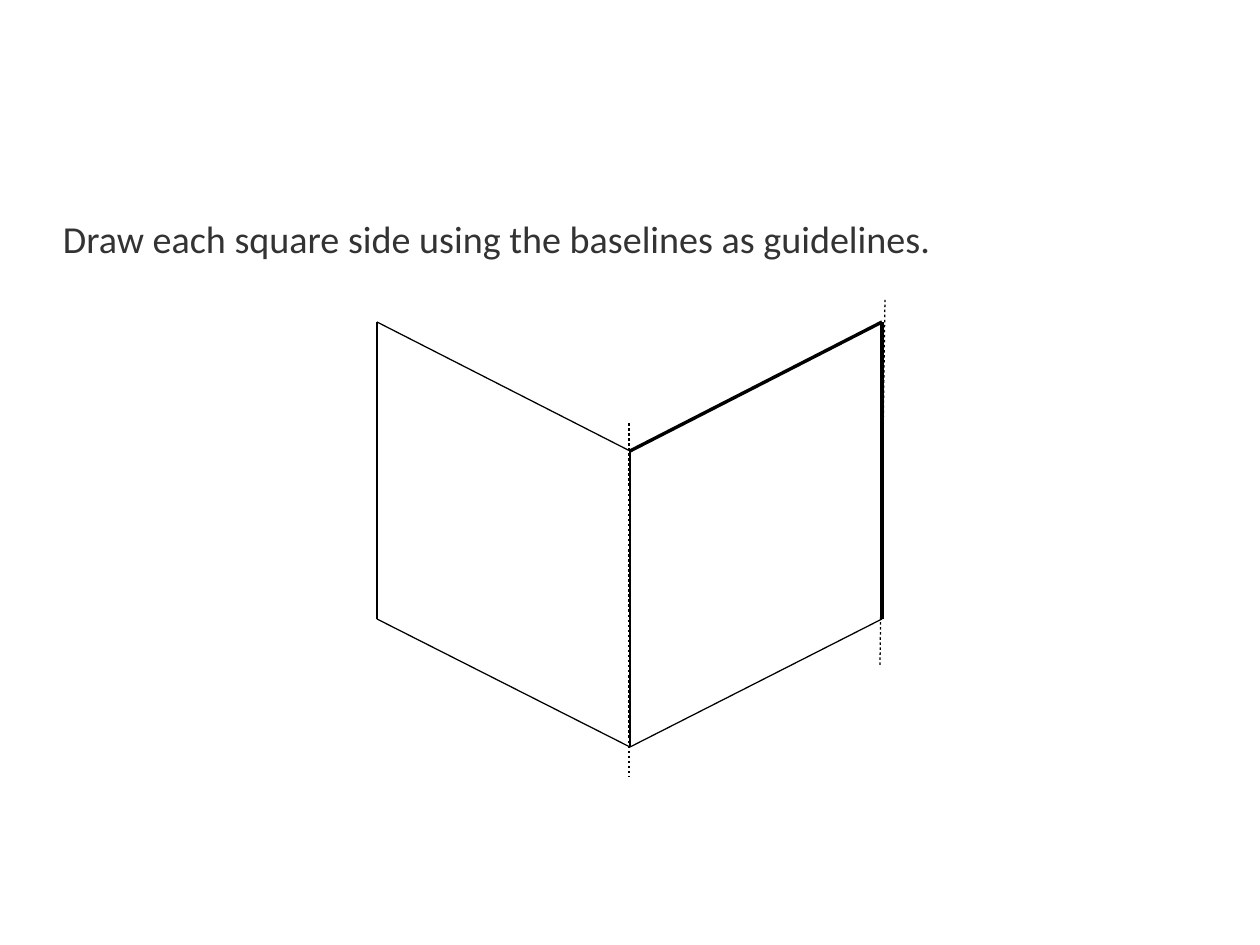
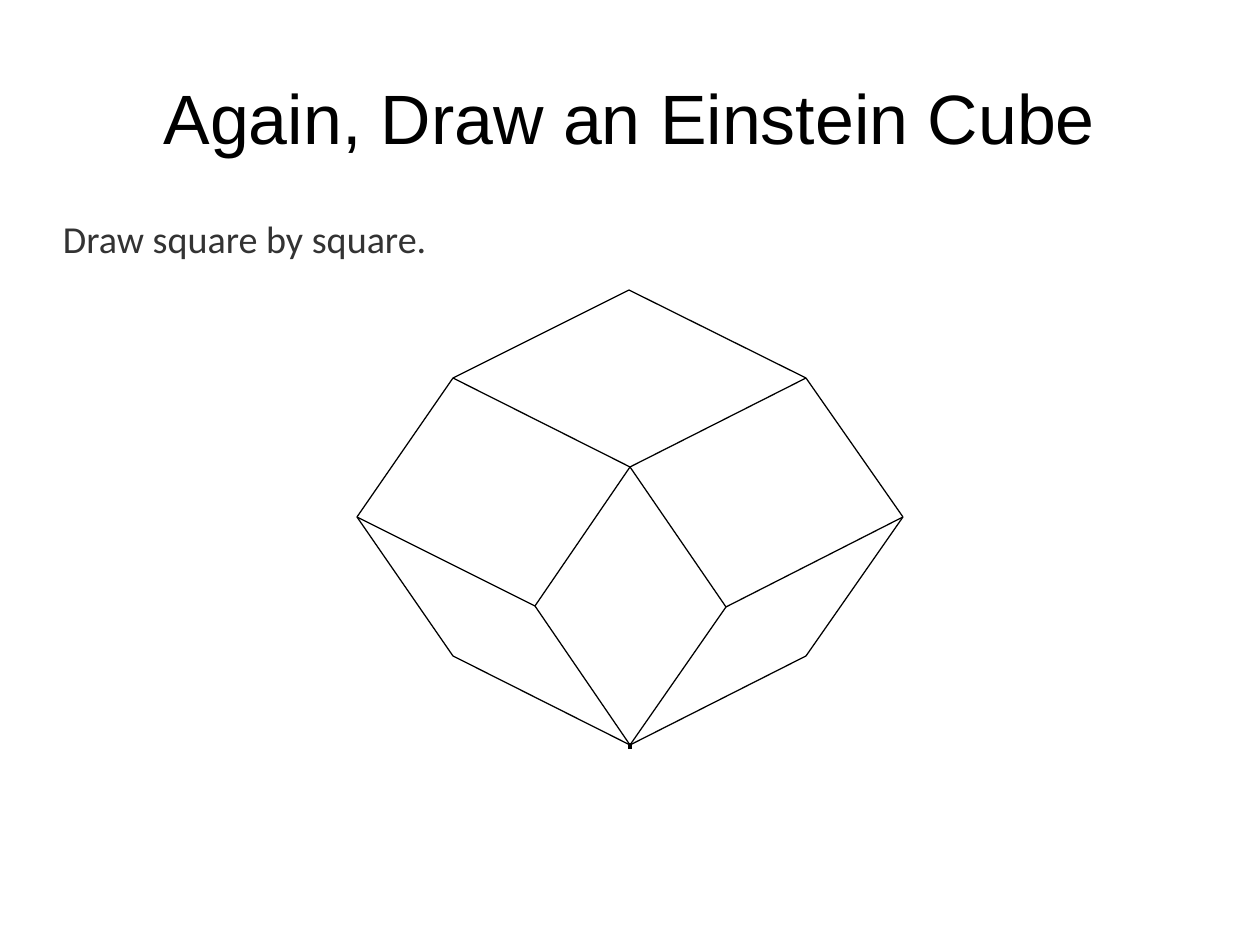
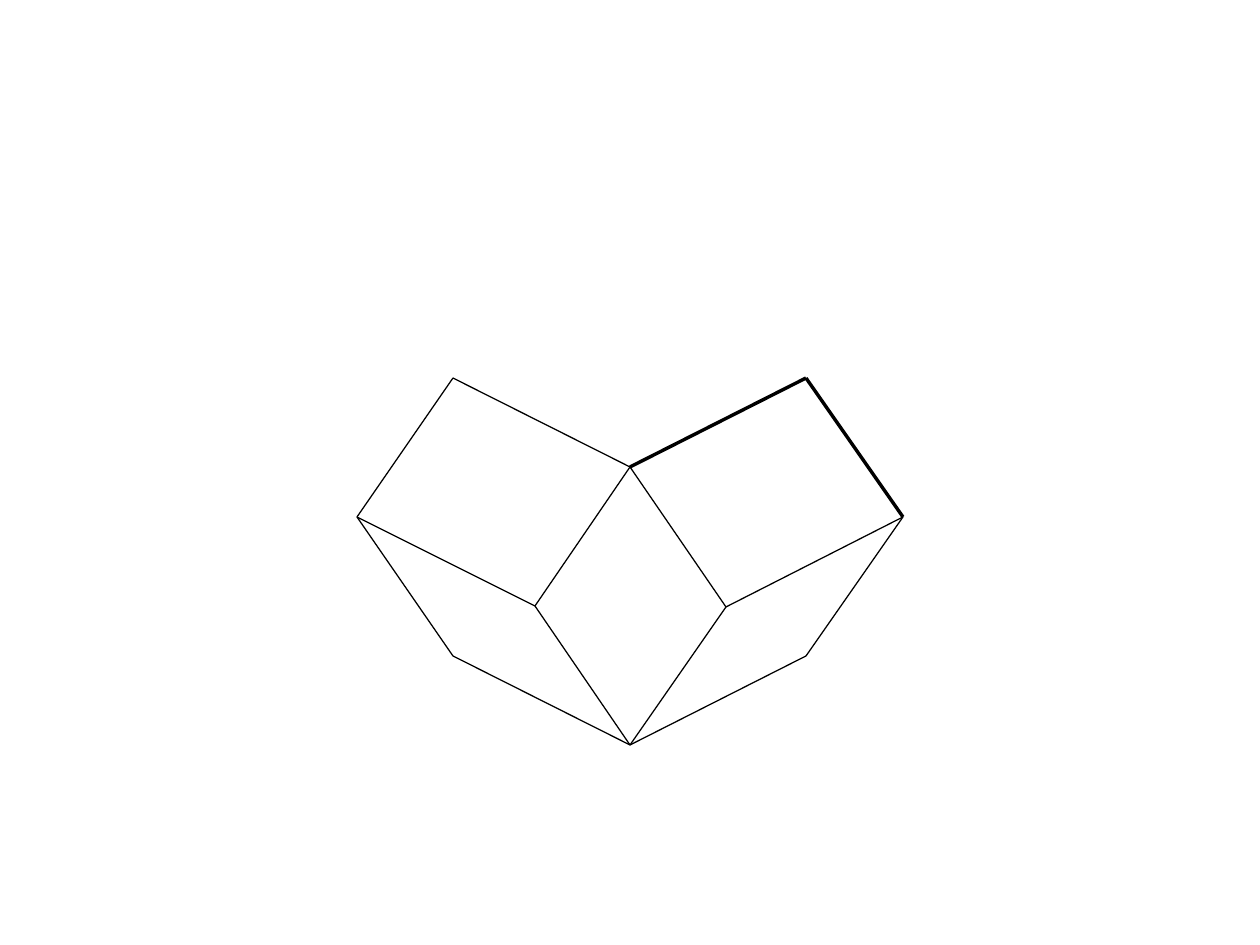
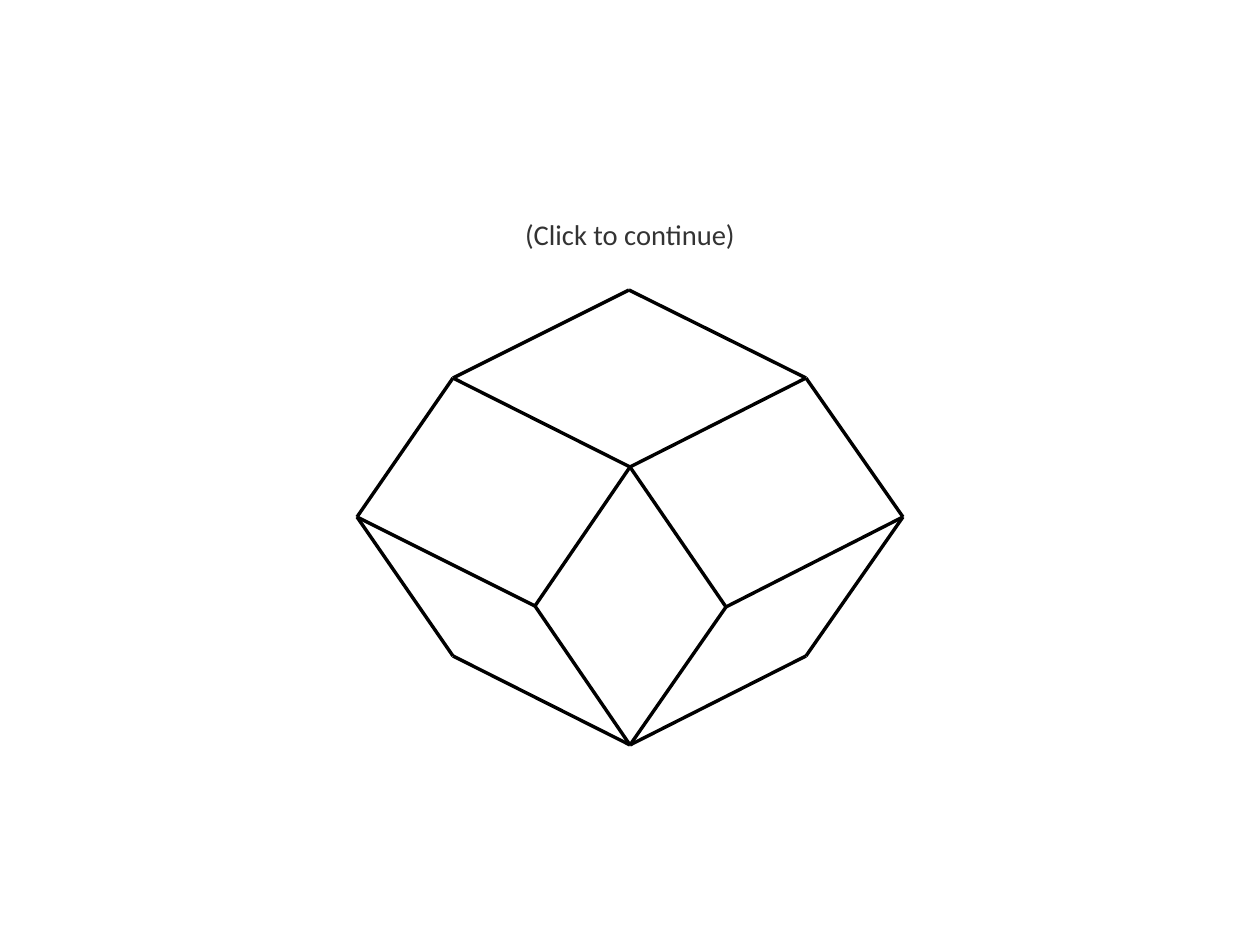
import dataclasses

import lxml.etree
import pptx
import pptx.dml.color
import pptx.enum.shapes
import pptx.enum.text
import pptx.oxml.ns
import pptx.util

PX = 8000  # EMU in one px; the slide is 28 by 21 cm


@dataclasses.dataclass(frozen=True)
class Theme:
    ink: str = "000000"
    body_color: str = "333333"
    title_font: str = "Arial"
    body_font: str = "Calibri"
    title_size: int = 44
    body_size: int = 24
    hint_size: int = 18
    thin: float = 0.79
    thick: float = 2.15
    line_spacing: float = 0.9
    space_after: float = 14.1


theme = Theme()
ALIGN = pptx.enum.text.PP_ALIGN
qn = pptx.oxml.ns.qn


def add_line(shapes, start, end, width, dotted=False):
    line = shapes.add_connector(
        pptx.enum.shapes.MSO_CONNECTOR.STRAIGHT,
        *(value * PX for value in (*start, *end)),
    )
    line.line.color.rgb = pptx.dml.color.RGBColor.from_string(theme.ink)
    line.line.width = pptx.util.Pt(width)
    properties = line._element.spPr
    if dotted:
        dashes = lxml.etree.SubElement(properties.find(qn("a:ln")), qn("a:custDash"))
        lxml.etree.SubElement(dashes, qn("a:ds"), d="200000", sp="200000")
    lxml.etree.SubElement(properties, qn("a:effectLst"))


def add_text(slide, text, size, align=ALIGN.LEFT, title=False):
    """Add the slide's title, or its body text below the title."""
    top, height = (38, 158) if title else (221, 624)
    box = slide.shapes.add_textbox(63 * PX, top * PX, 1134 * PX, height * PX)
    frame = box.text_frame
    frame.word_wrap = True
    frame.margin_left = frame.margin_top = frame.margin_right = frame.margin_bottom = 0
    frame.text = text
    paragraph = frame.paragraphs[0]
    paragraph.alignment = align
    if title:
        frame.vertical_anchor = pptx.enum.text.MSO_ANCHOR.MIDDLE
    else:
        paragraph.line_spacing = theme.line_spacing
        paragraph.space_after = pptx.util.Pt(theme.space_after)
    font = paragraph.runs[0].font
    font.name = theme.title_font if title else theme.body_font
    font.size = pptx.util.Pt(size)
    font.color.rgb = pptx.dml.color.RGBColor.from_string(
        theme.ink if title else theme.body_color
    )


presentation = pptx.Presentation()
presentation.slide_width = 1260 * PX
presentation.slide_height = 945 * PX
blank = presentation.slide_layouts[6]
squares_slide, cube_slide, partial_slide, finished_slide = (
    presentation.slides.add_slide(blank) for _ in range(4)
)

# Corners and edges of the cube
bottom, center, top = (630, 745), (630, 467), (629, 290)
low_left, low_right = (453, 656), (806, 656)
inner_left, inner_right = (535, 606), (726, 607)
far_left, far_right = (357, 517), (903, 517)
high_left, high_right = (453, 378), (806, 378)

lower_edges = [
    (low_left, bottom), (inner_left, bottom), (bottom, low_right),
    (bottom, inner_right), (far_left, inner_left), (far_left, low_left),
    (inner_left, center), (center, inner_right), (inner_right, far_right),
    (low_right, far_right), (far_left, high_left), (high_left, center),
]
right_edges = [(high_right, far_right), (center, high_right)]
top_edges = [(high_left, top), (top, high_right)]
cube_edges = lower_edges + right_edges + top_edges

# Slide 1: two squares on their baselines
left_x, middle_x, right_x = 377, 630, 882
outer_top, outer_bottom, middle_top, middle_bottom = 322, 619, 451, 747
square_edges = [
    ((left_x, outer_bottom), (middle_x, middle_bottom), theme.thin),
    ((middle_x, middle_bottom), (right_x, outer_bottom), theme.thin),
    ((left_x, outer_top), (middle_x, middle_top), theme.thin),
    ((left_x, outer_top), (left_x, outer_bottom), theme.thin),
    ((middle_x, middle_top), (middle_x, middle_bottom), theme.thin),
    ((middle_x, middle_top), (right_x, outer_top), theme.thick),
    ((right_x, outer_top), (right_x, outer_bottom), theme.thick),
]
for start, end, width in square_edges:
    add_line(squares_slide.shapes, start, end, width)
for start, end in [((880, 665), (885, 300)), ((629, 423), (629, 777))]:
    add_line(squares_slide.shapes, start, end, theme.thin, dotted=True)
add_text(squares_slide, "Draw each square side using the baselines as guidelines.",
         theme.body_size)

# Slide 2: the thin cube, grouped, with a starting mark
cube_group = cube_slide.shapes.add_group_shape()
for start, end in cube_edges:
    add_line(cube_group.shapes, start, end, theme.thin)
add_line(cube_group.shapes, (630, 743), (630, 749), theme.thick)
add_text(cube_slide, "Again, Draw an Einstein Cube", theme.title_size,
         ALIGN.CENTER, title=True)
add_text(cube_slide, "Draw square by square.", theme.body_size)

# Slide 3: the right square is being drawn
for edges, width in [(lower_edges, theme.thin), (right_edges, theme.thick)]:
    for start, end in edges:
        add_line(partial_slide.shapes, start, end, width)

# Slide 4: the finished cube
for start, end in cube_edges:
    add_line(finished_slide.shapes, start, end, theme.thick)
add_text(finished_slide, "(Click to continue)", theme.hint_size, ALIGN.CENTER)

presentation.save("out.pptx")
